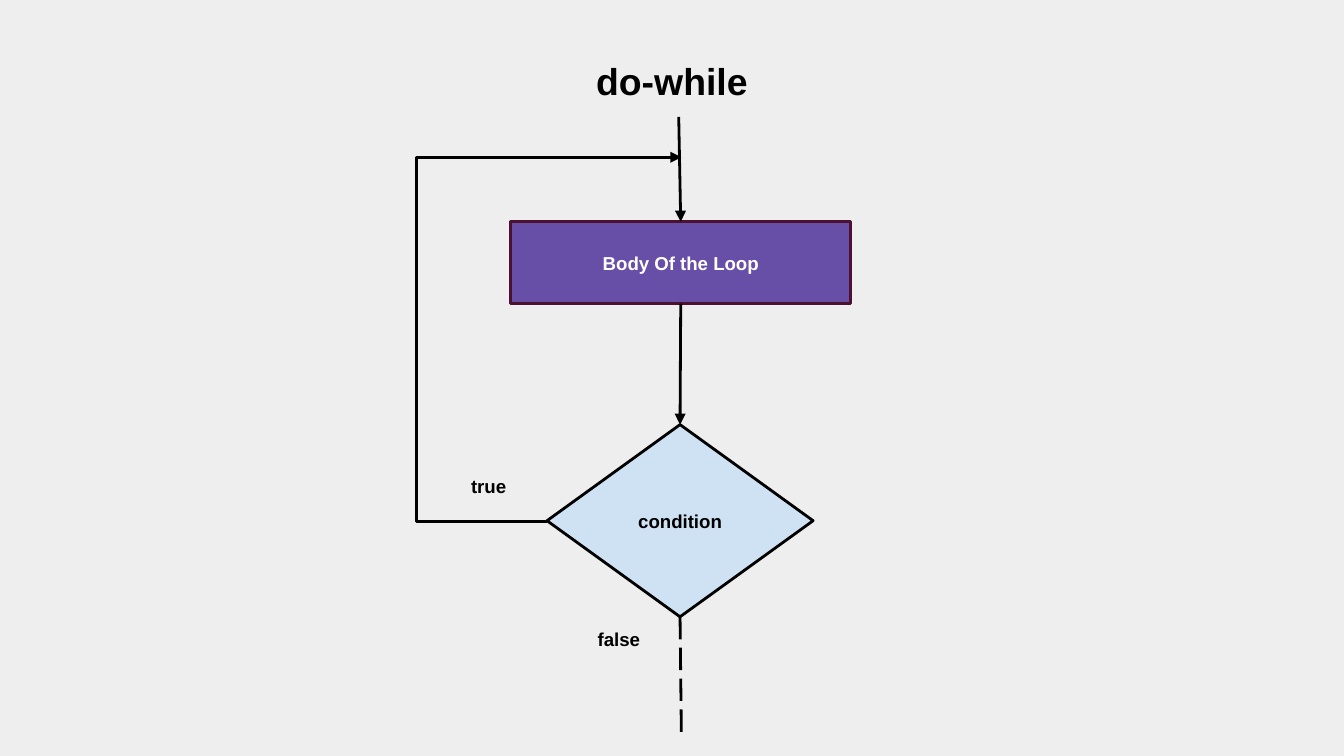
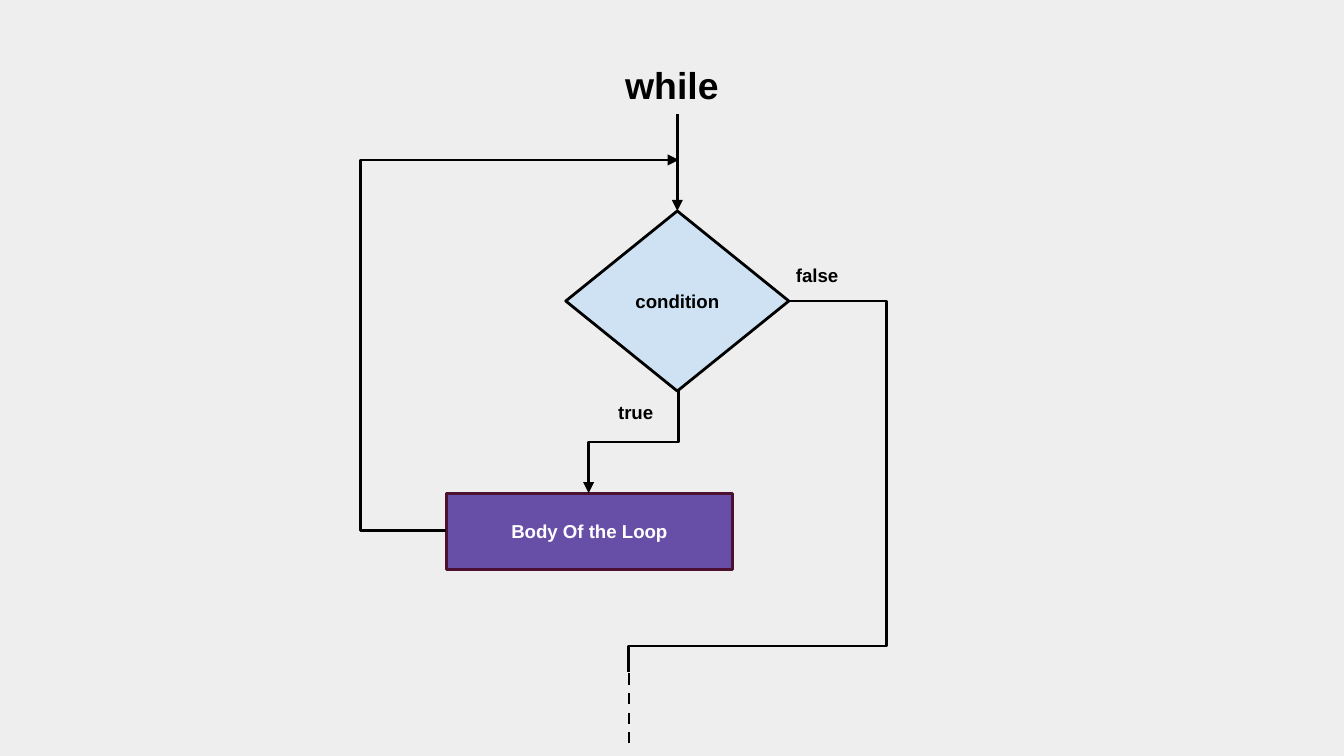
from lxml import etree
from pptx import Presentation
from pptx.dml.color import RGBColor
from pptx.enum.dml import MSO_LINE
from pptx.enum.shapes import MSO_CONNECTOR, MSO_SHAPE
from pptx.enum.text import MSO_ANCHOR, MSO_AUTO_SIZE, PP_ALIGN
from pptx.oxml.ns import qn
from pptx.util import Inches, Pt

# Colours
GREY = RGBColor(0xEE, 0xEE, 0xEE)
BLACK = RGBColor(0, 0, 0)
WHITE = RGBColor(0xFF, 0xFF, 0xFF)
PURPLE = RGBColor(0x67, 0x4E, 0xA7)
WINE = RGBColor(0x4C, 0x11, 0x30)
SKY = RGBColor(0xCF, 0xE2, 0xF3)

# Enum members
RECT, DIAMOND = MSO_SHAPE.RECTANGLE, MSO_SHAPE.DIAMOND
STRAIGHT, ELBOW = MSO_CONNECTOR.STRAIGHT, MSO_CONNECTOR.ELBOW
DASH, LONG = MSO_LINE.DASH, MSO_LINE.LONG_DASH
CENTER, MIDDLE, TOP = PP_ALIGN.CENTER, MSO_ANCHOR.MIDDLE, MSO_ANCHOR.TOP
GROW = MSO_AUTO_SIZE.SHAPE_TO_FIT_TEXT

# Connection sites
NORTH, SOUTH = 0, 2


def write(frame, text, size=10, color=BLACK, anchor=MIDDLE):
    """Put one centred bold line into a text frame."""
    frame.word_wrap = True
    frame.vertical_anchor = anchor
    frame.margin_left = frame.margin_right = Inches(0.1)
    frame.margin_top = frame.margin_bottom = Inches(0.1)
    para = frame.paragraphs[0]
    para.alignment = CENTER
    run = para.add_run()
    run.text = text
    run.font.name = "Arial"
    run.font.size = Pt(size)
    run.font.bold = True
    run.font.color.rgb = color


class Chart:
    """Draws flow charts, one slide at a time."""

    font, head, weight = 10, 20, 1.5

    def __init__(self, deck):
        self.deck = deck
        self.slide = None

    def start(self, title, top):
        self.slide = self.deck.slides.add_slide(self.deck.slide_layouts[6])
        fill = self.slide.background.fill
        fill.solid()
        fill.fore_color.rgb = GREY
        self.label(title, 0, top, 10, 0.54, self.head)

    def label(self, text, x, y, w, h=0.37, size=font):
        box = self.slide.shapes.add_textbox(*map(Inches, (x, y, w, h)))
        write(box.text_frame, text, size, anchor=TOP)
        box.text_frame.auto_size = GROW

    def node(self, kind, text, area, fill, edge, color):
        shape = self.slide.shapes.add_shape(kind, *map(Inches, area))
        shape.shadow.inherit = False
        shape.fill.solid()
        shape.fill.fore_color.rgb = fill
        self.stroke(shape.line, edge)
        write(shape.text_frame, text, self.font, color)
        return shape

    def body(self, *area):
        return self.node(RECT, "Body Of the Loop", area, PURPLE, WINE, WHITE)

    def test(self, *area):
        return self.node(DIAMOND, "condition", area, SKY, BLACK, BLACK)

    def stroke(self, line, color):
        line.color.rgb = color
        line.width = Pt(self.weight)

    def wire(self, kind, start, end, arrow, dash=None):
        ends = map(Inches, (*start, *end))
        wire = self.slide.shapes.add_connector(kind, *ends)
        self.stroke(wire.line, BLACK)
        if dash:
            wire.line.dash_style = dash
        if arrow:
            tail = etree.SubElement(wire.line._get_or_add_ln(), qn("a:tailEnd"))
            tail.set("type", "triangle")
        etree.SubElement(wire._element.spPr, qn("a:effectLst"))
        return wire

    def link(self, start, end, arrow=True, dash=None, begin=None, join=None):
        """Straight line; begin and join are (shape, site) pairs."""
        wire = self.wire(STRAIGHT, start, end, arrow, dash)
        if begin:
            wire.begin_connect(*begin)
        if join:
            wire.end_connect(*join)

    def bend(self, start, end, *ratios, turns=0, arrow=True):
        """Bent line; ratios place its bends, turns counts quarter turns."""
        mid = [(a + b) / 2 for a, b in zip(start, end)]
        dx, dy = (b - m for b, m in zip(end, mid))
        for _ in range(turns):
            dx, dy = dy, -dx
        wire = self.wire(ELBOW, (mid[0] - dx, mid[1] - dy),
                         (mid[0] + dx, mid[1] + dy), arrow)
        props = wire._element.spPr
        if turns:
            props.find(qn("a:xfrm")).set("rot", str(turns * 5400000))
        shape = props.find(qn("a:prstGeom"))
        shape.set("prst", f"bentConnector{len(ratios) + 2}")
        guides = shape.find(qn("a:avLst"))
        if guides is None:
            guides = etree.SubElement(shape, qn("a:avLst"))
        for n, ratio in enumerate(ratios, 1):
            guide = etree.SubElement(guides, qn("a:gd"))
            guide.set("name", f"adj{n}")
            guide.set("fmla", f"val {round(ratio * 100000)}")


def post_test(chart):
    chart.start("do-while", 0.33)
    body = chart.body(3.8, 1.65, 2.53, 0.61)
    test = chart.test(4.07, 3.16, 1.98, 1.43)
    # Main path
    chart.link((5.05, 0.87), (5.06, 1.65), join=(body, NORTH))
    chart.link((5.06, 2.26), (5.06, 3.16),
               begin=(body, SOUTH), join=(test, NORTH))
    chart.link((5.06, 4.59), (5.07, 5.46), arrow=False, dash=LONG,
               begin=(test, SOUTH))
    # Way back
    chart.bend((4.07, 3.88), (5.07, 1.17), -0.97, 1, turns=2)
    chart.label("false", 4.21, 4.59, 0.79)
    chart.label("true", 3.24, 3.45, 0.79)


def pre_test(chart):
    chart.start("while", 0.36)
    chart.body(3.32, 3.67, 2.13, 0.57)
    test = chart.test(4.21, 1.57, 1.66, 1.34)
    # Main path
    chart.link((5.04, 0.85), (5.05, 1.57), join=(test, NORTH))
    chart.bend((5.05, 2.91), (4.38, 3.67), 0.5, turns=1)
    # Way back and way out
    chart.bend((3.32, 3.95), (5.05, 1.19), -0.37, 1, turns=2)
    chart.bend((5.88, 2.24), (4.68, 5), -0.6, 0.93, arrow=False)
    chart.link((4.68, 5.01), (4.68, 5.59), arrow=False, dash=DASH)
    chart.label("false", 5.75, 1.88, 0.66)
    chart.label("true", 4.4, 2.9, 0.66)


def main():
    deck = Presentation()
    deck.slide_width = Inches(10)
    deck.slide_height = Inches(10 * 9 / 16)
    chart = Chart(deck)
    post_test(chart)
    pre_test(chart)
    deck.save("out.pptx")


if __name__ == "__main__":
    main()
